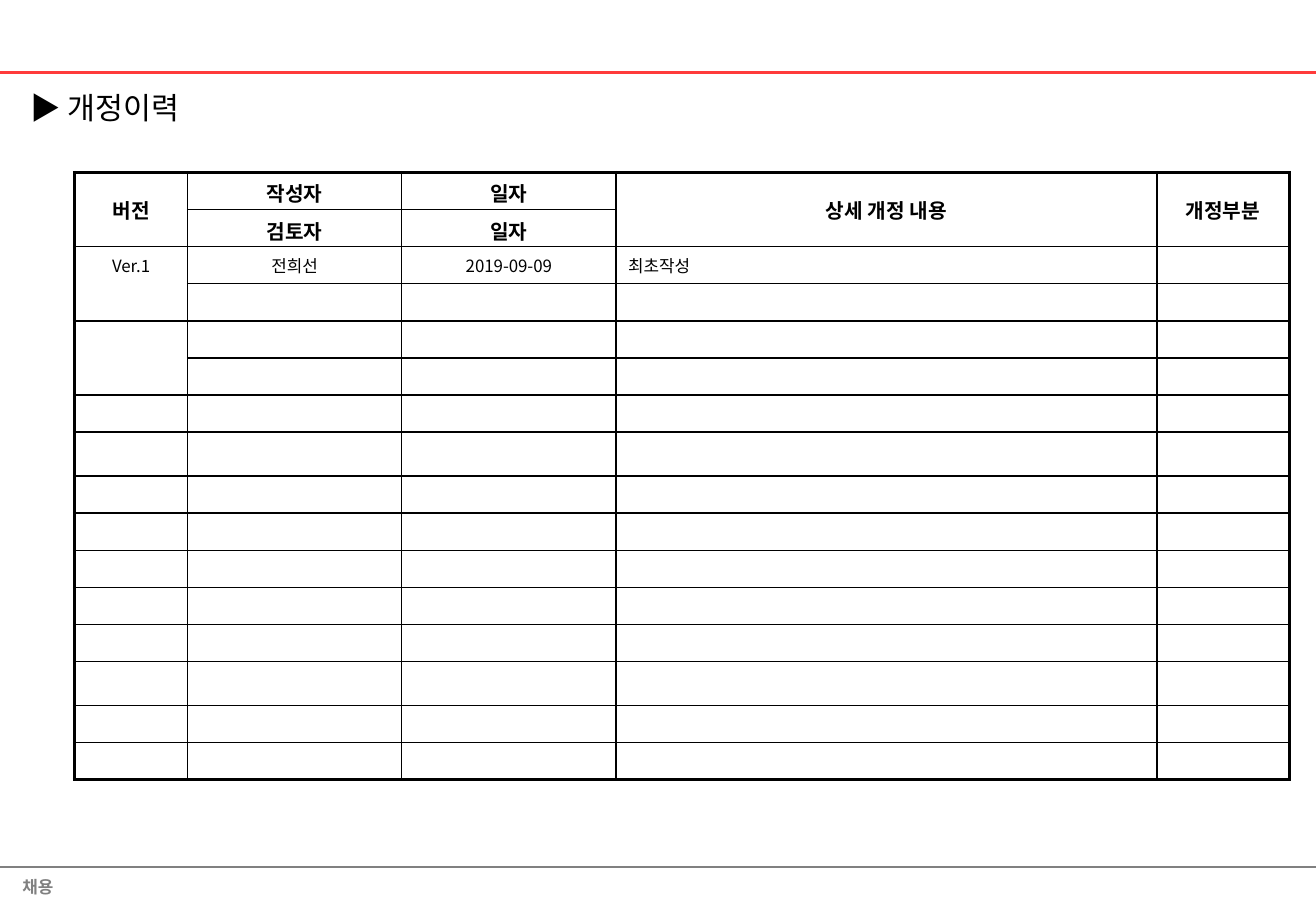
from lxml.etree import SubElement
from pptx import Presentation
from pptx.dml.color import RGBColor
from pptx.enum.shapes import MSO_CONNECTOR
from pptx.enum.text import MSO_ANCHOR, MSO_AUTO_SIZE, PP_ALIGN
from pptx.oxml.ns import qn
from pptx.util import Pt

FONT = "Noto Sans CJK KR"


def write(tf, text, size, color="000000", bold=False):
    """Put one styled line of text into a text frame and return its paragraph."""
    p = tf.paragraphs[0]
    p.text = text
    p.font.name, p.font.size, p.font.bold = FONT, Pt(size), bold
    p.font.color.rgb = RGBColor.from_string(color)
    SubElement(p.font._element, qn("a:ea"), typeface=FONT)
    if not text:
        SubElement(p._p, qn("a:endParaRPr"), sz=str(size * 100))
    return p


def set_border(cell, side, width):
    ln = SubElement(cell._tc.get_or_add_tcPr(), qn(f"a:ln{side}"), w=str(Pt(width)))
    fill = SubElement(ln, qn("a:solidFill"))
    SubElement(fill, qn("a:srgbClr"), val="000000")


prs = Presentation()
prs.slide_width, prs.slide_height = Pt(780), Pt(540)
s = prs.slides.add_slide(prs.slide_layouts[6])

# Header and footer rules
for y, color, width, alpha in [(43, "FF0000", 1.5, 76), (514, "808080", 0.75, 100)]:
    rule = s.shapes.add_connector(MSO_CONNECTOR.STRAIGHT, 0, Pt(y), Pt(780), Pt(y))
    rule.line.width = Pt(width)
    rule.line.color.rgb = RGBColor.from_string(color)
    if alpha < 100:
        clr = rule.line._ln.find(".//" + qn("a:srgbClr"))
        SubElement(clr, qn("a:alpha"), val=str(alpha * 1000))
    SubElement(rule._element.spPr, qn("a:effectLst"))

# Footer label and title
for x, y, w, h, text, size, color, bold in [
    (6.2, 516.2, 34.6, 19.4, "채용", 10, "808080", True),
    (11, 49, 110, 29, "▶ 개정이력", 18, "000000", False),
]:
    tf = s.shapes.add_textbox(Pt(x), Pt(y), Pt(w), Pt(h)).text_frame
    tf.word_wrap = False
    tf.auto_size = MSO_AUTO_SIZE.SHAPE_TO_FIT_TEXT
    write(tf, text, size, color, bold)

# Revision history table
HEADER_ROWS = 2
col_widths = [67, 126.8, 127.2, 320.5, 78.5]
row_heights = [26 if i in (7, 13) else 22 for i in range(16)]
contents = [
    ["버전", "작성자", "일자", "상세 개정 내용", "개정부분"],
    ["", "검토자", "일자", "", ""],
    ["Ver.1", "전희선", "2019-09-09", "최초작성", ""],
]
n_rows, n_cols = len(row_heights), len(col_widths)
contents += [[""] * n_cols] * (n_rows - len(contents))

table = s.shapes.add_table(n_rows, n_cols, Pt(44.2), Pt(102.2),
                           Pt(sum(col_widths)), Pt(sum(row_heights))).table
table.first_row = table.horz_banding = False
for col, width in zip(table.columns, col_widths):
    col.width = Pt(width)
for row, height in zip(table.rows, row_heights):
    row.height = Pt(height)

for i, texts in enumerate(contents):
    for j, text in enumerate(texts):
        cell = table.cell(i, j)
        header = i < HEADER_ROWS
        p = write(cell.text_frame, text, 12 if header and text else 10, bold=header)
        p.alignment = PP_ALIGN.LEFT if j == 3 and not header else PP_ALIGN.CENTER
        outer = {"L": j == 0, "R": j == n_cols - 1, "T": i == 0, "B": i == n_rows - 1}
        for side, is_outer in outer.items():
            set_border(cell, side, 2.25 if is_outer else 1)
        cell.fill.background()

for i, j in [(0, 0), (0, 3), (0, 4), (2, 0), (4, 0)]:
    table.cell(i, j).merge(table.cell(i + 1, j))
    if i == 0:
        table.cell(i, j).vertical_anchor = MSO_ANCHOR.MIDDLE

prs.save("out.pptx")
